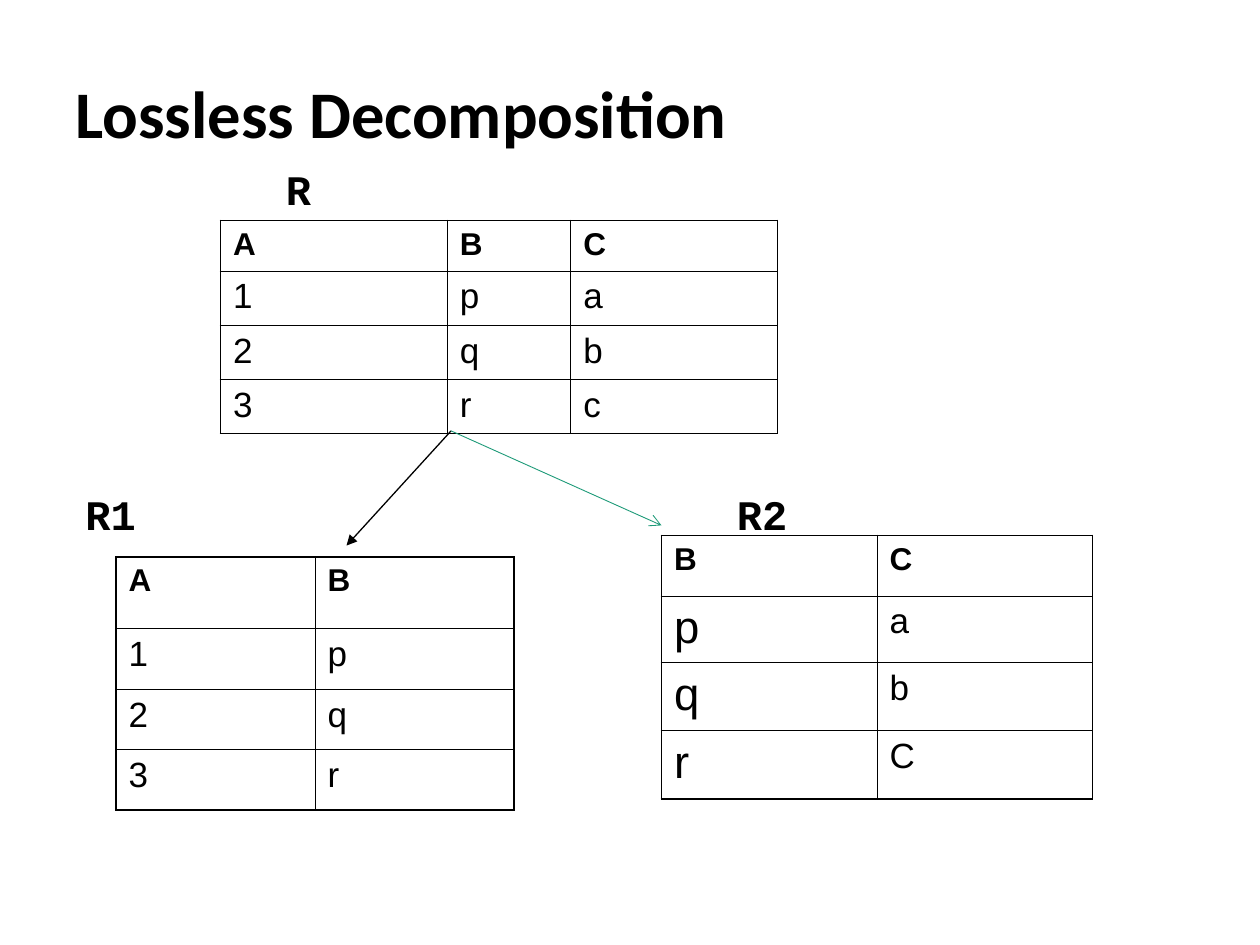
from pptx import Presentation
from pptx.dml.color import RGBColor as RGB
from pptx.enum.shapes import MSO_CONNECTOR as Conn
from pptx.enum.text import MSO_ANCHOR as Anchor, PP_ALIGN as Align
from pptx.oxml.ns import qn
from pptx.util import Inches, Pt
from lxml.etree import SubElement as Sub

HUES = {"ink": "000000", "green": "1D9A78"}
TITLE = "Lossless Decomposition"

TABLES = [
    {"at": (1.75, 1.75), "cols": [1.8, 0.98, 1.64], "rows": [0.4, 0.43, 0.43, 0.43],
     "sizes": [20, 20, 20],
     "data": ["ABC", "1pa", "2qb", "3rc"]},
    {"at": (0.92, 4.42), "cols": [1.58, 1.58], "rows": [0.57, 0.48, 0.48, 0.48],
     "sizes": [20, 20],
     "data": ["AB", "1p", "2q", "3r"]},
    {"at": (5.25, 4.25), "cols": [1.71, 1.71], "rows": [0.48, 0.53, 0.54, 0.54],
     "sizes": [26, 20],
     "data": ["BC", "pa", "qb", "rC"]},
]
LABELS = [("R", 2.17, 1.25, 0.58), ("R1", 0.58, 3.83, 0.83), ("R2", 5.75, 3.83, 0.83)]
START = (3.58, 3.42)
ARROWS = [((2.75, 4.33), "ink", 0.75, "triangle"), ((5.25, 4.17), "green", 0.5, "arrow")]


def style(para, face, size, bold):
    font = para.font
    font.name, font.size, font.bold = face, Pt(size), bold
    font.color.rgb = RGB.from_string(HUES["ink"])


def edge(cell, side, width):
    line = Sub(cell._tc.get_or_add_tcPr(), qn("a:ln" + side), w=str(Pt(width)))
    fill = Sub(line, qn("a:solidFill"))
    Sub(fill, qn("a:srgbClr"), val=HUES["ink"])


def add_grid(slide, at, cols, rows, sizes, data):
    box = [Inches(n) for n in (*at, sum(cols), sum(rows))]
    table = slide.shapes.add_table(len(rows), len(cols), *box).table
    table.first_row = table.horz_banding = False
    for col, width in zip(table.columns, cols):
        col.width = Inches(width)
    for row, height in zip(table.rows, rows):
        row.height = Inches(height)
    for r, line in enumerate(data):
        for c, word in enumerate(line):
            cell = table.cell(r, c)
            cell.text = word
            head = r == 0
            style(cell.text_frame.paragraphs[0], "Arial", 18 if head else sizes[c], head)
            outer = {"L": c == 0, "R": c == len(cols) - 1,
                     "T": head, "B": r == len(rows) - 1}
            for side, rim in outer.items():
                edge(cell, side, 1.08 if rim else 0.45)
            cell.fill.background()


def add_label(slide, word, x, y, width):
    box = slide.shapes.add_textbox(Inches(x), Inches(y), Inches(width), Inches(0.5))
    frame = box.text_frame
    frame.word_wrap = True
    frame.text = word
    style(frame.paragraphs[0], "Courier New", 24, True)


def add_arrow(slide, end, hue, width, tip):
    ends = [Inches(n) for n in (*START, *end)]
    arrow = slide.shapes.add_connector(Conn.STRAIGHT, *ends)
    arrow.line.color.rgb = RGB.from_string(HUES[hue])
    arrow.line.width = Pt(width)
    Sub(arrow.line._get_or_add_ln(), qn("a:tailEnd"), type=tip)
    Sub(arrow._element.spPr, qn("a:effectLst"))


def main():
    prs = Presentation()
    prs.slide_width, prs.slide_height = Inches(10), Inches(7.5)
    slide = prs.slides.add_slide(prs.slide_layouts[5])
    title = slide.shapes.title
    title.left, title.top = Inches(0.5), Inches(0.3)
    title.width, title.height = Inches(9), Inches(1.25)
    title.text = TITLE
    title.text_frame.vertical_anchor = Anchor.MIDDLE
    para = title.text_frame.paragraphs[0]
    para.alignment, para.line_spacing = Align.LEFT, 0.9
    style(para, "Calibri", 38, True)
    for spec in TABLES:
        add_grid(slide, **spec)
    for label in LABELS:
        add_label(slide, *label)
    for arrow in ARROWS:
        add_arrow(slide, *arrow)
    prs.save("out.pptx")


if __name__ == "__main__":
    main()
